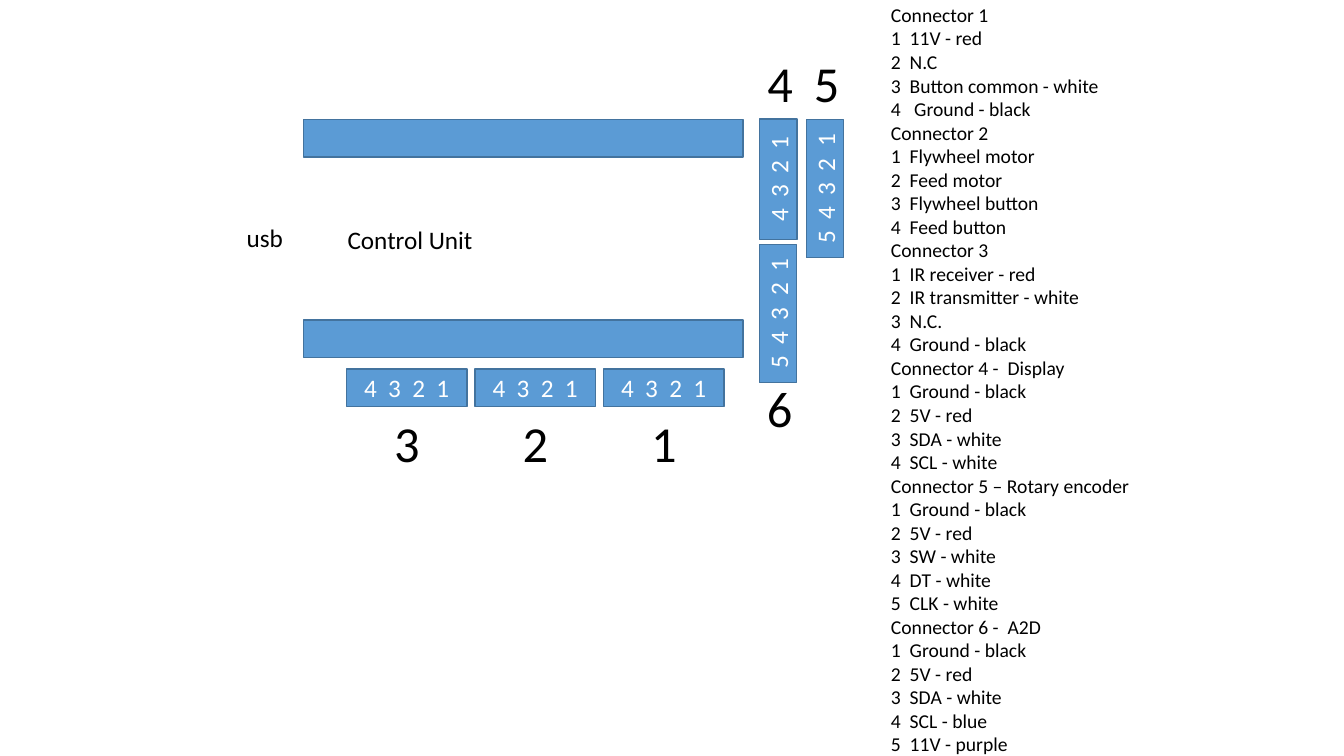
from pptx import Presentation
from pptx.dml.color import RGBColor
from pptx.enum import shapes, text
from pptx.util import Pt

FONT = "Calibri"
BLUE, OUTLINE, WHITE, BLACK = "5B9BD5", "43739E", "FFFFFF", "000000"
THICK = 26.8  # short side of every rail and header
LABEL_W, LABEL_H = 33, 51

# Wires of each connector, in pin order
CONNECTORS = {
    "Connector 1": ["11V - red", "N.C", "Button common - white", " Ground - black"],
    "Connector 2": ["Flywheel motor", "Feed motor", "Flywheel button", "Feed button"],
    "Connector 3": ["IR receiver - red", "IR transmitter - white", "N.C.", "Ground - black"],
    "Connector 4 -  Display": ["Ground - black", "5V - red", "SDA - white", "SCL - white"],
    "Connector 5 – Rotary encoder": ["Ground - black", "5V - red", "SW - white",
                                     "DT - white", "CLK - white"],
    "Connector 6 -  A2D": ["Ground - black", "5V - red", "SDA - white",
                           "SCL - blue", "11V - purple"],
}


def color(hex_code):
    return RGBColor.from_string(hex_code)


def style(paragraph, size, hex_code):
    paragraph.font.name = FONT
    paragraph.font.size = Pt(size)
    paragraph.font.color.rgb = color(hex_code)


def add_bar(slide, left, top, width, height=THICK):
    bar = slide.shapes.add_shape(shapes.MSO_SHAPE.RECTANGLE,
                                 Pt(left), Pt(top), Pt(width), Pt(height))
    bar.shadow.inherit = False
    bar.fill.solid()
    bar.fill.fore_color.rgb = color(BLUE)
    bar.line.color.rgb = color(OUTLINE)
    bar.line.width = Pt(1)
    return bar


def add_text(slide, left, top, width, height, lines, size, wrap=False):
    box = slide.shapes.add_textbox(Pt(left), Pt(top), Pt(width), Pt(height))
    frame = box.text_frame
    frame.word_wrap = wrap
    frame.auto_size = text.MSO_AUTO_SIZE.SHAPE_TO_FIT_TEXT
    frame.text = "\n".join(lines)
    for paragraph in frame.paragraphs:
        style(paragraph, size, BLACK)


def header_length(pins):
    return 86 if pins == 4 else 98.6


def add_header(slide, center_x, center_y, pins, rotation=0):
    length = header_length(pins)
    header = add_bar(slide, center_x - length / 2, center_y - THICK / 2, length)
    header.rotation = rotation
    frame = header.text_frame
    frame.vertical_anchor = text.MSO_ANCHOR.MIDDLE
    frame.text = "  ".join(str(pin) for pin in range(pins, 0, -1))
    frame.paragraphs[0].alignment = text.PP_ALIGN.CENTER
    style(frame.paragraphs[0], 18, WHITE)


def add_number(slide, center_x, top, number):
    add_text(slide, center_x - LABEL_W / 2, top, LABEL_W, LABEL_H, [str(number)], 36)


def add_board(slide, left, top, width, height):
    """Two pin rails with the board and port names."""
    for rail_top in (top, top + height - THICK):
        add_bar(slide, left, rail_top, width)
    add_text(slide, left - 47.6, top + 70, 41, 29, ["usb"], 18)
    add_text(slide, left + 24.5, top + 71.5, 117, 29, ["Control Unit"], 18)


def add_bottom_headers(slide, left, top):
    """Connectors 3, 2 and 1 in a row."""
    for column, number in enumerate((3, 2, 1)):
        center = left + header_length(4) / 2 + column * 91.8
        add_header(slide, center, top + THICK / 2, 4)
        add_number(slide, center + 0.5, top + 27, number)


def add_side_headers(slide, left, top):
    """Connectors 4 and 6 stacked, with 5 beside them."""
    # number, pins, centre x, top of header, top of number
    for number, pins, x, y, label_y in ((4, 4, 13.4, 0, -51.5),
                                        (5, 5, 46.7, 0.5, -51.5),
                                        (6, 5, 13.1, 89.7, 181)):
        add_header(slide, left + x, top + y + header_length(pins) / 2, pins, 270)
        add_number(slide, left + x + 1.5, top + label_y, number)


def add_pin_list(slide, left, top, width, height):
    lines = []
    for connector, wires in CONNECTORS.items():
        lines.append(connector)
        lines += [f"{pin}  {wire}" for pin, wire in enumerate(wires, 1)]
    add_text(slide, left, top, width, height, lines, 14, wrap=True)


presentation = Presentation()
presentation.slide_width, presentation.slide_height = Pt(960), Pt(540)
wiring = presentation.slides.add_slide(presentation.slide_layouts[6])

add_board(wiring, 216.7, 85.5, 314, 170)
add_bottom_headers(wiring, 247.5, 263.5)
add_side_headers(wiring, 542.6, 85)
add_pin_list(wiring, 629.3, -1.5, 322.5, 567.5)

presentation.save("out.pptx")
